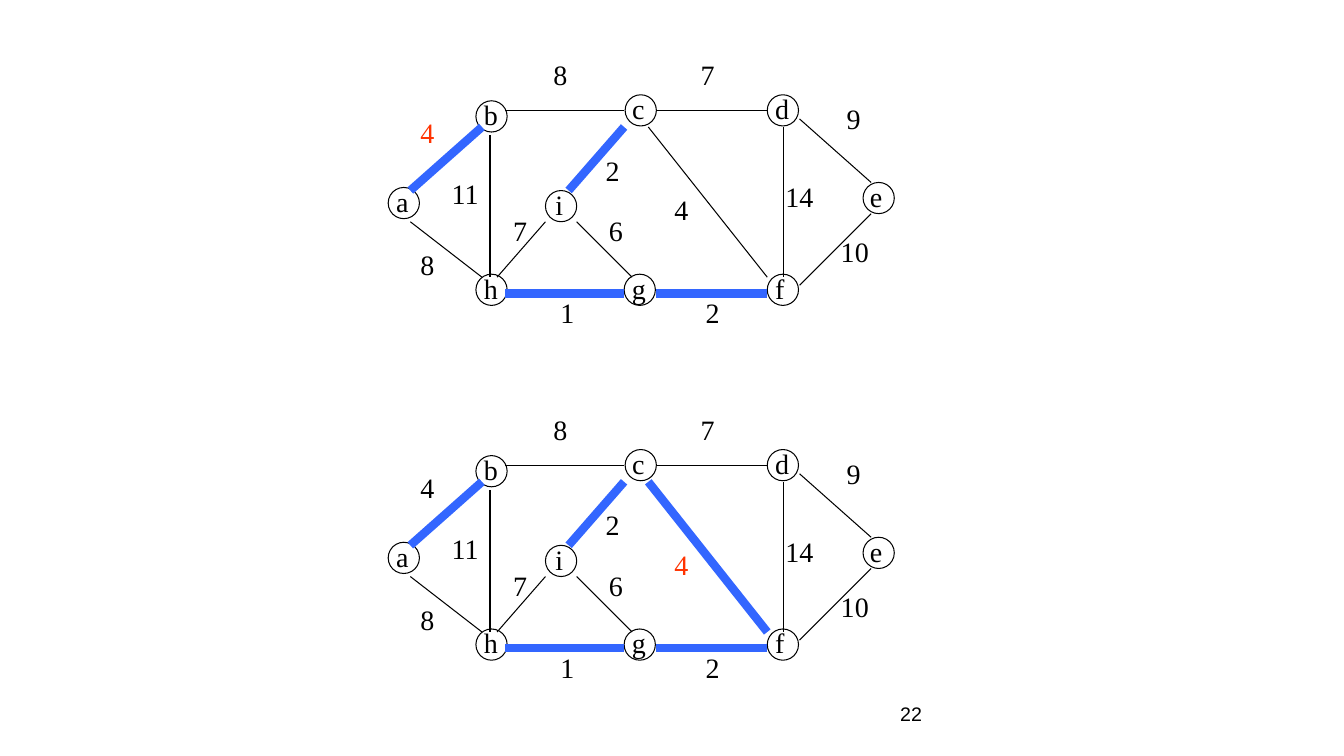
"""Build a slide showing two successive steps of a minimum spanning tree."""
from lxml.etree import SubElement
from pptx import Presentation
from pptx.dml.color import RGBColor
from pptx.enum.shapes import MSO_CONNECTOR, MSO_SHAPE
from pptx.enum.text import MSO_ANCHOR, MSO_AUTO_SIZE
from pptx.oxml.ns import qn
from pptx.util import Inches, Pt

BLACK, TREE_BLUE, NEW_RED = "000000", "3366FF", "FF3300"
SERIF, SANS = "Times New Roman", "Arial"
DIAMETER = 0.31
NODE_TEXT_RISE = 0.08

# name: circle left, circle top, text left, text width
NODES = {
    "a": (3.85, 1.86, 3.83, 0.32),
    "b": (4.72, 1.00, 4.70, 0.34),
    "h": (4.72, 2.72, 4.70, 0.34),
    "c": (6.20, 0.94, 6.17, 0.32),
    "d": (7.61, 0.94, 7.59, 0.34),
    "e": (8.56, 1.81, 8.53, 0.32),
    "f": (7.61, 2.72, 7.59, 0.29),
    "g": (6.19, 2.72, 6.17, 0.34),
    "i": (5.41, 1.89, 5.41, 0.28),
}

# name: weight, line start, line end, weight label corner
EDGES = {
    "ab": ("4", (4.07, 1.89), (4.78, 1.26), (4.07, 1.10)),
    "ah": ("8", (4.07, 2.20), (4.78, 2.75), (4.07, 2.41)),
    "bh": ("11", (4.86, 1.34), (4.86, 2.75), (4.38, 1.70)),
    "bc": ("8", (5.01, 1.10), (6.19, 1.10), (5.39, 0.52)),
    "hg": ("1", (5.01, 2.91), (6.19, 2.91), (5.46, 2.88)),
    "gf": ("2", (6.51, 2.91), (7.61, 2.91), (6.90, 2.88)),
    "cf": ("4", (6.43, 1.26), (7.61, 2.75), (6.59, 1.86)),
    "cd": ("7", (6.51, 1.10), (7.61, 1.10), (6.85, 0.52)),
    "df": ("14", (7.77, 1.26), (7.77, 2.75), (7.69, 1.73)),
    "de": ("9", (7.93, 1.18), (8.64, 1.81), (8.30, 0.96)),
    "ef": ("10", (7.93, 2.83), (8.64, 2.12), (8.24, 2.28)),
    "ig": ("6", (5.72, 2.20), (6.27, 2.75), (5.94, 2.07)),
    "hi": ("7", (4.93, 2.75), (5.41, 2.20), (4.99, 2.07)),
    "ic": ("2", (5.64, 1.89), (6.19, 1.26), (5.91, 1.47)),
}

# vertical offset, tree edges, newest edge
STEPS = [
    (0, ("ab", "hg", "gf", "ic"), "ab"),
    (3.52, ("ab", "hg", "gf", "ic", "cf"), "cf"),
]


def color(value):
    return RGBColor.from_string(value)


def add_text(shapes, text, left, top, width, height, size=20, font=SERIF, fill=BLACK):
    box = shapes.add_textbox(Inches(left), Inches(top), Inches(width), Inches(height))
    run = box.text_frame.paragraphs[0].add_run()
    run.text = text
    run.font.size = Pt(size)
    run.font.name = font
    run.font.color.rgb = color(fill)
    return box.text_frame


def add_label(shapes, text, left, top, width, height, fill=BLACK):
    frame = add_text(shapes, text, left, top, width, height, fill=fill)
    frame.word_wrap = False
    frame.auto_size = MSO_AUTO_SIZE.SHAPE_TO_FIT_TEXT


def add_node(shapes, name, offset):
    left, top, text_left, text_width = NODES[name]
    top += offset
    add_label(shapes, name, text_left, top - NODE_TEXT_RISE, text_width, 0.43)
    circle = shapes.add_shape(MSO_SHAPE.OVAL, Inches(left), Inches(top),
                              Inches(DIAMETER), Inches(DIAMETER))
    circle.shadow.inherit = False
    circle.fill.background()
    circle.line.color.rgb = color(BLACK)
    circle.line.width = Pt(0.75)


def add_edge(shapes, start, end, offset, in_tree):
    line = shapes.add_connector(MSO_CONNECTOR.STRAIGHT,
                                Inches(start[0]), Inches(start[1] + offset),
                                Inches(end[0]), Inches(end[1] + offset))
    line.line.color.rgb = color(TREE_BLUE if in_tree else BLACK)
    line.line.width = Pt(6 if in_tree else 0.75)
    SubElement(line._element.spPr, qn("a:effectLst"))


def add_graph(slide, offset, tree, newest):
    shapes = slide.shapes.add_group_shape().shapes
    for name in NODES:
        add_node(shapes, name, offset)
    for name, (weight, start, end, corner) in EDGES.items():
        add_edge(shapes, start, end, offset, name in tree)
    for name, (weight, start, end, corner) in EDGES.items():
        add_label(shapes, weight, corner[0], corner[1] + offset,
                  0.2 + 0.14 * len(weight), 0.44,
                  NEW_RED if name == newest else BLACK)


def main():
    presentation = Presentation()
    presentation.slide_width = Inches(13.33)
    presentation.slide_height = Inches(7.5)
    slide = presentation.slides.add_slide(presentation.slide_layouts[6])
    number = add_text(slide.shapes, "22", 8.83, 6.83, 2.08, 0.5, 14, SANS)
    number.word_wrap = True
    number.vertical_anchor = MSO_ANCHOR.MIDDLE
    for offset, tree, newest in STEPS:
        add_graph(slide, offset, tree, newest)
    presentation.save("out.pptx")


if __name__ == "__main__":
    main()
